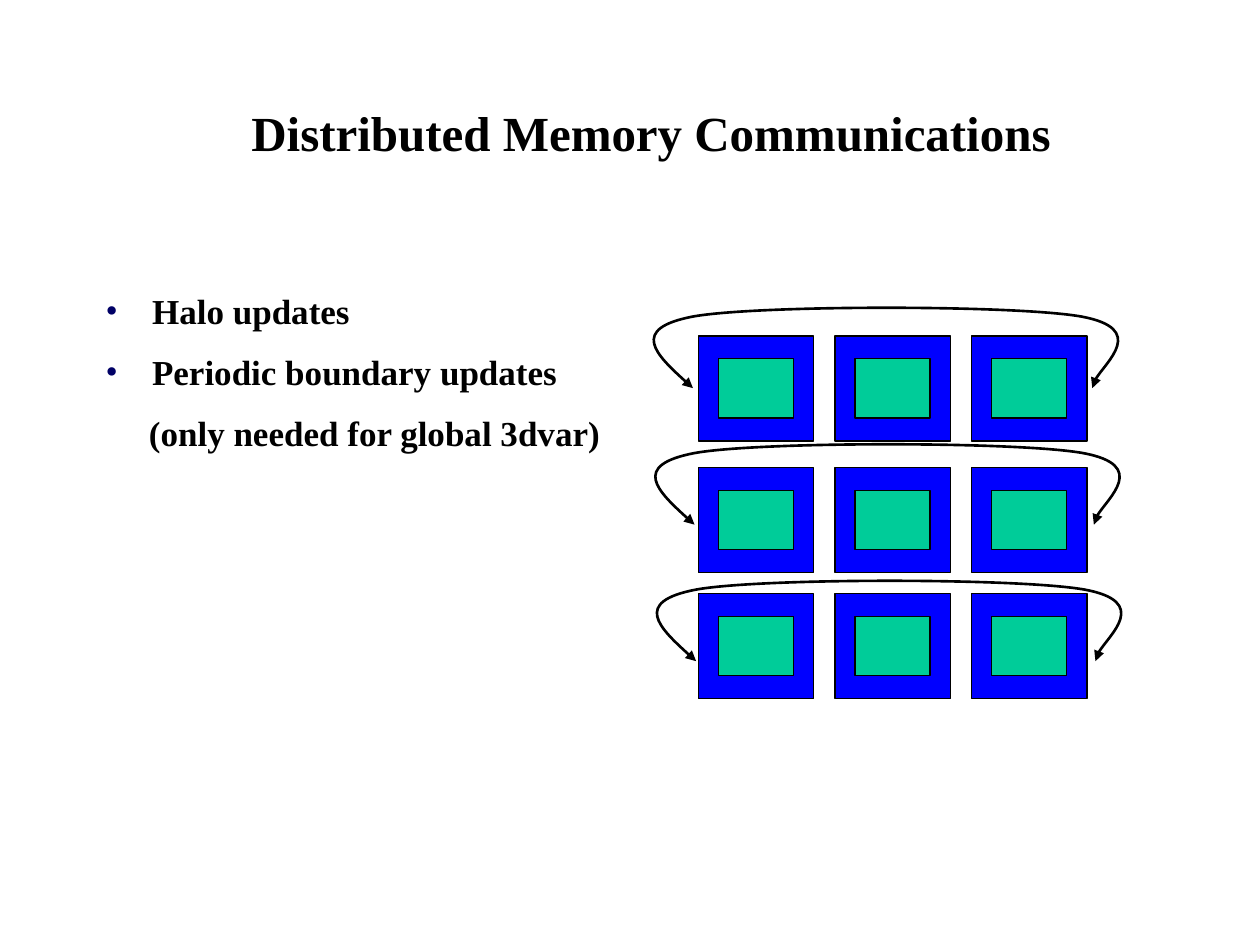
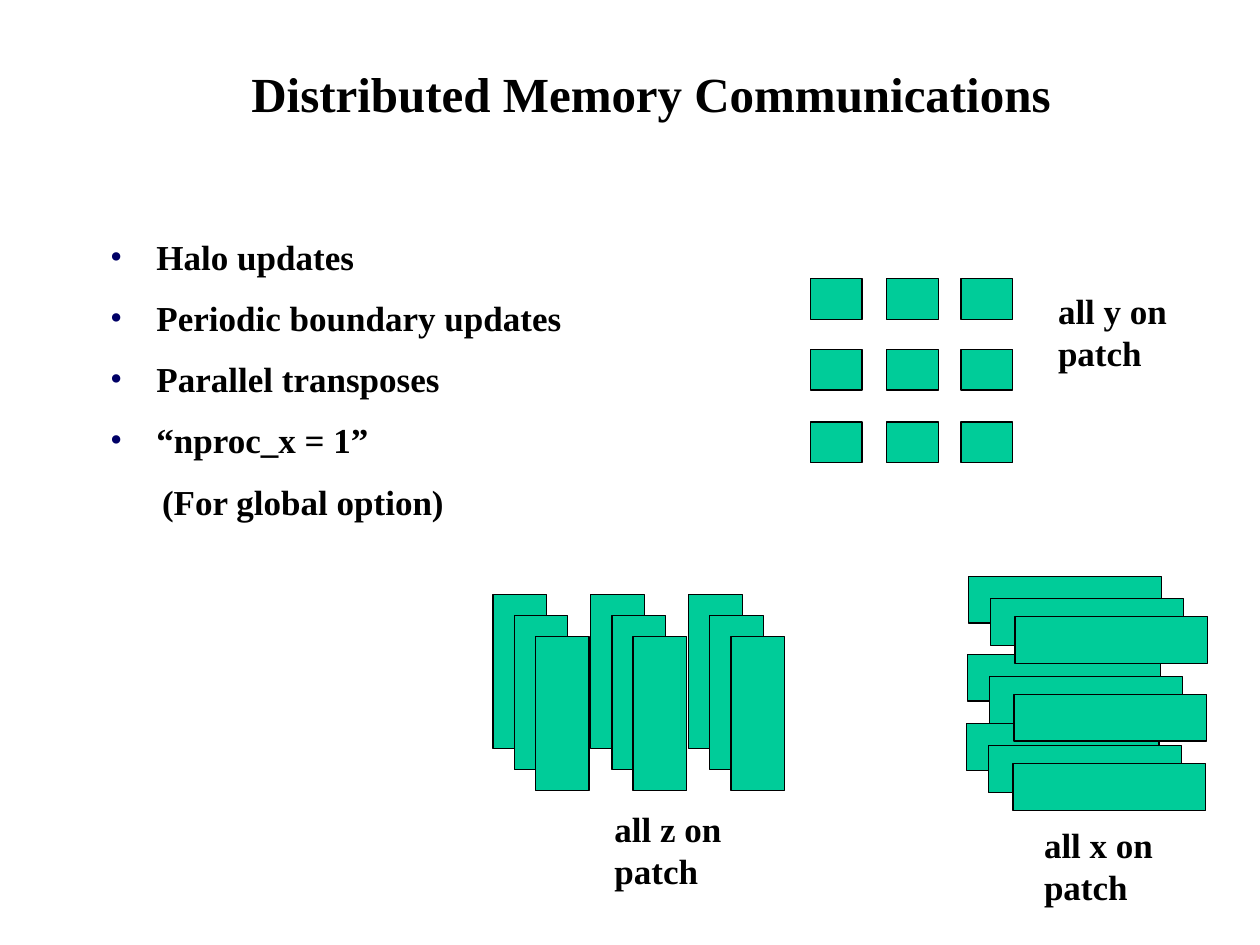
import pptx
import pptx.dml.color
import pptx.enum.shapes
import pptx.enum.text
import pptx.oxml
import pptx.oxml.ns
import pptx.util
from lxml import etree

Pt = pptx.util.Pt
qn = pptx.oxml.ns.qn
RECTANGLE = pptx.enum.shapes.MSO_SHAPE.RECTANGLE
ALIGN = pptx.enum.text.PP_ALIGN
ANCHOR = pptx.enum.text.MSO_ANCHOR

FONT = "Times New Roman"
BLACK, HALO_BLUE, PATCH_GREEN, BULLET_NAVY = "000000", "0000FF", "00CC99", "000066"
TITLE = "Distributed Memory Communications"
BULLET_INDENT = 26.5

color = pptx.dml.color.RGBColor.from_string


def add_text(slide, box, lines, size=20):
    """Add a text box with one bold paragraph per line and return its text frame."""
    text_frame = slide.shapes.add_textbox(*map(Pt, box)).text_frame
    text_frame.word_wrap = True
    text_frame.text = "\n".join(lines)
    for paragraph in text_frame.paragraphs:
        for run in paragraph.runs:
            run.font.name = FONT
            run.font.size = Pt(size)
            run.font.bold = True
            run.font.color.rgb = color(BLACK)
    return text_frame


def add_block(slide, left, top, width, height, fill=PATCH_GREEN):
    shape = slide.shapes.add_shape(RECTANGLE, Pt(left), Pt(top), Pt(width), Pt(height))
    shape.shadow.inherit = False
    shape.fill.solid()
    shape.fill.fore_color.rgb = color(fill)
    shape.line.color.rgb = color(BLACK)
    shape.line.width = Pt(0.75)


presentation = pptx.Presentation()
presentation.slide_width, presentation.slide_height = Pt(720), Pt(540)

# Title and bullet list: title top, list box, bullets, closing line, its indent
outlines = [
    (30.4, (53.3, 155.8, 334, 342),
     ["Halo updates", "Periodic boundary updates"],
     "(only needed for global 3dvar)", 24.7),
    (7.9, (55.8, 124.9, 294.5, 342),
     ["Halo updates", "Periodic boundary updates", "Parallel transposes", "“nproc_x = 1”"],
     "(For global option)", 29.7),
]
slides = []
for title_top, list_box, bullets, closing_line, closing_indent in outlines:
    slide = presentation.slides.add_slide(presentation.slide_layouts[6])
    slides.append(slide)

    title_frame = add_text(slide, (66, title_top, 612, 90), [TITLE], size=28)
    title_frame.vertical_anchor = ANCHOR.MIDDLE
    title_frame.paragraphs[0].alignment = ALIGN.CENTER

    list_frame = add_text(slide, list_box, bullets + [closing_line])
    for index, paragraph in enumerate(list_frame.paragraphs):
        properties = paragraph._p.get_or_add_pPr()
        if index < len(bullets):
            properties.set("marL", str(Pt(BULLET_INDENT)))
            properties.set("indent", str(-Pt(BULLET_INDENT)))
            bullet_color = etree.SubElement(properties, qn("a:buClr"))
            etree.SubElement(bullet_color, qn("a:srgbClr"), val=BULLET_NAVY)
            etree.SubElement(properties, qn("a:buFont"), typeface=FONT)
            etree.SubElement(properties, qn("a:buChar"), char="•")
        else:
            properties.set("marL", str(Pt(closing_indent)))
        paragraph.line_spacing = 1.25
        paragraph.space_before = Pt(5 if index else 0)

halo_slide, transpose_slide = slides

# Patches with halos
for top in (192, 267.2, 339.3):
    for column in range(3):
        left = 399 + 78.1 * column
        add_block(halo_slide, left, top, 66, 60, HALO_BLUE)
        add_block(halo_slide, left + 11.5, top + 13.1, 42.8, 33.8)

# Periodic boundary arrows: a start point, then three points for each Bézier curve
arrow_points = [
    (396, 221.8),
    (377.3, 205.2), (359.3, 187.9), (396, 180.9),
    (432.7, 174.2), (580.3, 174.2), (617.9, 180.9),
    (655.9, 187.9), (622.8, 215.3), (624.2, 221.8),
]
for row in range(3):
    points = [(Pt(x + 0.9 * row), Pt(y + 78 * row)) for x, y in arrow_points]
    builder = halo_slide.shapes.build_freeform(*points[0])
    builder.add_line_segments(points[1:], close=False)
    arrow = builder.convert_to_shape()
    arrow.shadow.inherit = False
    arrow.fill.background()
    arrow.line.color.rgb = color(BLACK)
    arrow.line.width = Pt(1.5)
    line_properties = arrow.line._get_or_add_ln()
    for end in ("a:headEnd", "a:tailEnd"):
        etree.SubElement(line_properties, qn(end), type="triangle")
    outline = arrow._element.find(".//" + qn("a:path"))
    segments = outline.findall(qn("a:lnTo"))
    for start in range(0, len(segments), 3):
        curve = etree.SubElement(outline, qn("a:cubicBezTo"))
        for segment in segments[start:start + 3]:
            curve.append(segment[0])
            outline.remove(segment)

# Patches holding all y
for top in (159.3, 199.6, 241.2):
    for left in (463, 506.6, 549.1):
        add_block(transpose_slide, left, top, 29.5, 23.3)

# Patches holding all z, in three layers from back to front
for layer in range(3):
    for column in range(3):
        add_block(transpose_slide, 281.7 + 55.9 * column + 12.1 * layer,
                  339.8 + 12 * layer, 30.7, 88)

# Patches holding all x, in three layers from back to front
for shift_x, shift_y in ((0, 0), (12.7, 12.7), (26.6, 22.9)):
    for row, top in enumerate((329.3, 373.8, 413.5)):
        add_block(transpose_slide, 553.4 - 0.6 * row + shift_x, top + shift_y, 110.2, 26.8)

for axis, left, top in (("y", 597.5, 162), ("x", 589.5, 466.8), ("z", 344, 457.8)):
    add_text(transpose_slide, (left, top, 82, 55.4), [f"all {axis} on", "patch"])

presentation.save("out.pptx")
